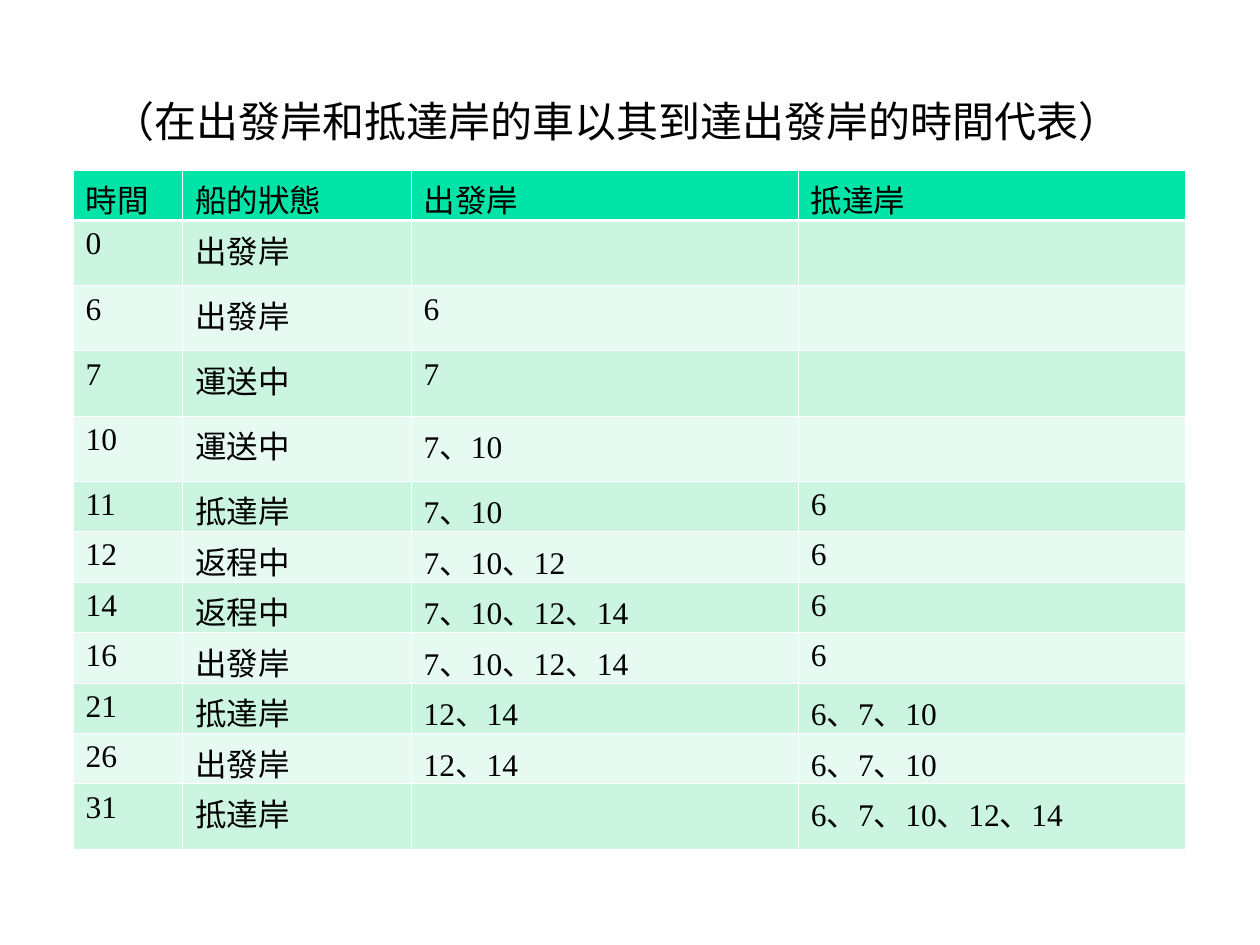
from lxml.etree import SubElement
from pptx import Presentation
from pptx.dml.color import RGBColor
from pptx.oxml.ns import qn
from pptx.util import Inches, Pt

WIDE, HIGH = Inches(10), Inches(7.5)
FONT = "Times New Roman"
BLACK = RGBColor(0x00, 0x00, 0x00)
WHITE = RGBColor(0xFF, 0xFF, 0xFF)
GREEN = RGBColor(0x00, 0xE4, 0xA8)
MINT = RGBColor(0xCB, 0xF5, 0xE1)
PALE = RGBColor(0xE7, 0xFA, 0xF1)

TITLE = "（在出發岸和抵達岸的車以其到達出發岸的時間代表）"
HEAD = ("時間", "船的狀態", "出發岸", "抵達岸")
STATES = [
    ("0", "出發岸", "", ""),
    ("6", "出發岸", "6", ""),
    ("7", "運送中", "7", ""),
    ("10", "運送中", "7、10", ""),
    ("11", "抵達岸", "7、10", "6"),
    ("12", "返程中", "7、10、12", "6"),
    ("14", "返程中", "7、10、12、14", "6"),
    ("16", "出發岸", "7、10、12、14", "6"),
    ("21", "抵達岸", "12、14", "6、7、10"),
    ("26", "出發岸", "12、14", "6、7、10"),
    ("31", "抵達岸", "", "6、7、10、12、14"),
]


def write(frame, text, size=18, color=BLACK, bold=False, spacing=None):
    """Put one formatted line of text in a frame."""
    para = frame.paragraphs[0]
    if spacing:
        para.line_spacing = spacing
    if not text:
        # An empty cell keeps a taller blank line
        end = SubElement(para._p, qn("a:endParaRPr"), sz="2500")
        SubElement(end, qn("a:latin"), typeface=FONT)
        return
    run = para.add_run()
    run.text = text
    font = run.font
    font.name, font.size, font.bold = FONT, Pt(size), bold
    font.color.rgb = color


class Page:
    """Holds the current slide and the table's style."""

    def __init__(self, slide):
        self.slide = slide
        self.thin, self.thick = Pt(0.45), Pt(1.47)

    def place(self, x, y, w, h):
        """Turn shares of the slide into lengths."""
        return int(x * WIDE), int(y * HIGH), int(w * WIDE), int(h * HIGH)

    def title(self, text, area, indent):
        frame = self.slide.shapes.add_textbox(*self.place(*area)).text_frame
        frame.word_wrap = True
        frame.margin_left += indent
        write(frame, text, size=24, spacing=0.9)

    def border(self, cell, sides):
        props = cell._tc.get_or_add_tcPr()
        for side, width in sides.items():
            line = SubElement(props, qn(f"a:ln{side}"), w=str(width))
            fill = SubElement(line, qn("a:solidFill"))
            SubElement(fill, qn("a:srgbClr"), val=str(WHITE))

    def table(self, rows, area, shares):
        box = self.place(*area)
        grid = self.slide.shapes.add_table(len(rows), len(shares), *box).table
        for col, share in zip(grid.columns, shares):
            col.width = int(box[2] * share / sum(shares))
        for i, row in enumerate(rows):
            top = self.thick if i == 1 else self.thin
            base = self.thick if i == 0 else self.thin
            tint = GREEN if i == 0 else (PALE, MINT)[i % 2]
            for j, text in enumerate(row):
                cell = grid.cell(i, j)
                self.border(cell, {"L": self.thin, "R": self.thin,
                                   "T": top, "B": base})
                cell.fill.solid()
                cell.fill.fore_color.rgb = tint
                write(cell.text_frame, text)


def main():
    deck = Presentation()
    deck.slide_width, deck.slide_height = WIDE, HIGH
    page = Page(deck.slides.add_slide(deck.slide_layouts[6]))

    # Heading line
    page.title(TITLE, (0.042, 0.1, 0.883, 0.82), Inches(0.37))

    # Ferry states over time
    page.table([HEAD, *STATES], (0.058, 0.18, 0.883, 0.64),
               (0.87, 1.81, 3.07, 3.07))

    deck.save("out.pptx")


if __name__ == "__main__":
    main()
